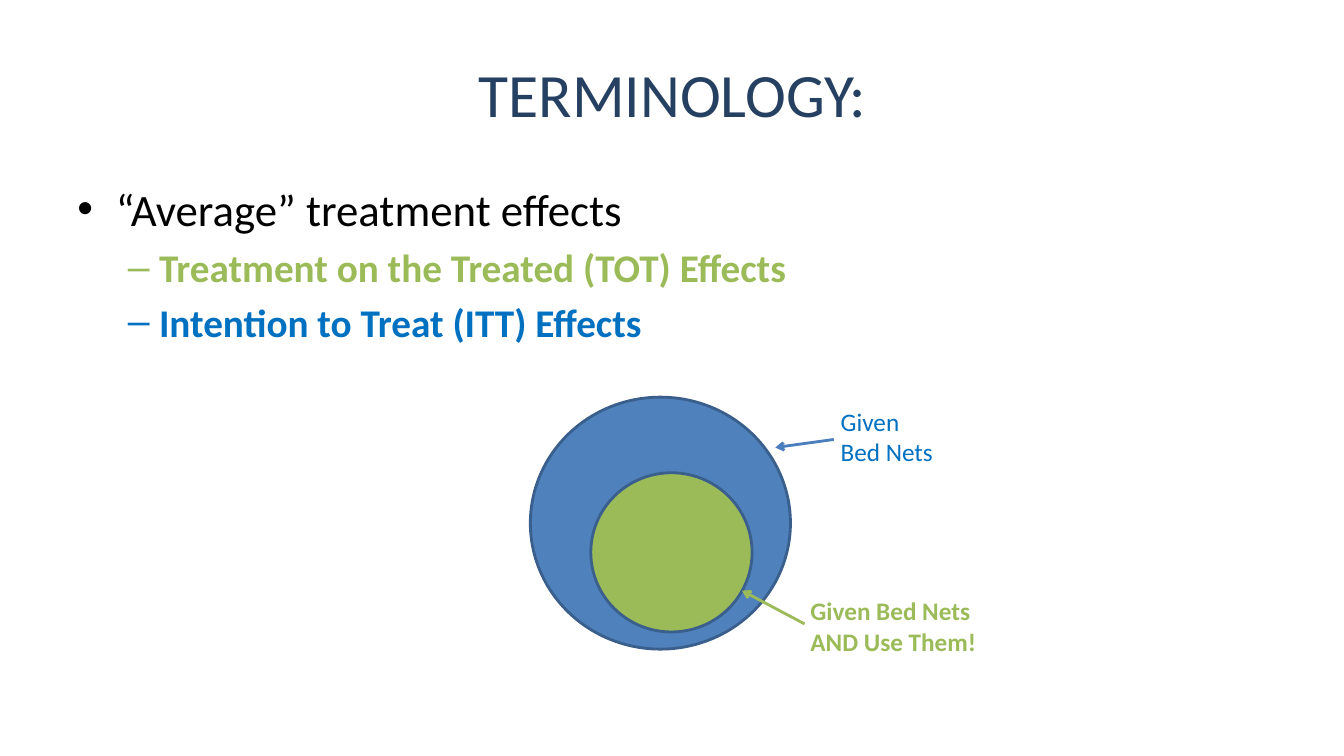
import pptx
import pptx.util
import pptx.dml.color
import pptx.enum.shapes
import pptx.enum.text
import pptx.oxml.ns
import lxml.etree

PX = 9144
FONT = "Calibri"
GREEN = "9BBB59"
BLUE = "0070C0"


def colour(value):
    return pptx.dml.color.RGBColor.from_string(value)


def write(para, words, size, shade, bold=False):
    para.text = words
    for span in para.runs:
        span.font.name = FONT
        span.font.size = pptx.util.Pt(size)
        span.font.bold = bold
        span.font.color.rgb = colour(shade)


deck = pptx.Presentation()
deck.slide_width = 1333 * PX
deck.slide_height = 750 * PX
page = deck.slides.add_slide(deck.slide_layouts[5])

title = page.shapes.title
title.left, title.top, title.width, title.height = [n * PX for n in (67, 30, 1200, 125)]
title.text_frame.vertical_anchor = pptx.enum.text.MSO_ANCHOR.MIDDLE
write(title.text_frame.paragraphs[0], "TERMINOLOGY:", 44, "254061")
title.text_frame.paragraphs[0].alignment = pptx.enum.text.PP_ALIGN.CENTER

body = page.shapes.add_textbox(*[n * PX for n in (67, 175, 1200, 495)])
frame = body.text_frame
frame.word_wrap = True
points = [
    ("“Average” treatment effects", 0, 38, 38, "•", 32, "000000"),
    ("Treatment on the Treated (TOT) Effects", 1, 81, 31, "–", 28, GREEN),
    ("Intention to Treat (ITT) Effects", 1, 81, 31, "–", 28, BLUE),
]
for index, (words, level, margin, hang, mark, size, shade) in enumerate(points):
    para = frame.add_paragraph() if index else frame.paragraphs[0]
    write(para, words, size, shade, level == 1)
    para.level = level
    para.space_before = pptx.util.Pt(size * 0.2 if index else 0)
    properties = para._p.get_or_add_pPr()
    properties.set("marL", str(margin * PX))
    properties.set("indent", str(-hang * PX))
    for tag, key, value in (("a:buFont", "typeface", "Arial"), ("a:buChar", "char", mark)):
        lxml.etree.SubElement(properties, pptx.oxml.ns.qn(tag)).set(key, value)

circles = [((526, 394, 258, 250), "4F81BD"), ((586, 469, 160, 158), GREEN)]
for place, shade in circles:
    circle = page.shapes.add_shape(
        pptx.enum.shapes.MSO_SHAPE.OVAL, *[n * PX for n in place])
    circle.shadow.inherit = False
    circle.fill.solid()
    circle.fill.fore_color.rgb = colour(shade)
    circle.line.color.rgb = colour("3A5F8C")
    circle.line.width = pptx.util.Pt(2)

callouts = [
    ("Given\nBed Nets", (824, 398, 113, 71), BLUE, False, (827, 436, 769, 444), "4B7EBC"),
    ("Given Bed Nets\nAND Use Them!", (794, 586, 186, 71), GREEN, True, (798, 619, 736, 586), GREEN),
]
for words, place, shade, bold, ends, line_shade in callouts:
    arrow = page.shapes.add_connector(
        pptx.enum.shapes.MSO_CONNECTOR.STRAIGHT, *[n * PX for n in ends])
    arrow.line.color.rgb = colour(line_shade)
    arrow.line.width = pptx.util.Pt(2)
    head = lxml.etree.SubElement(arrow.line._get_or_add_ln(), pptx.oxml.ns.qn("a:tailEnd"))
    head.set("type", "arrow")
    lxml.etree.SubElement(arrow._element.spPr, pptx.oxml.ns.qn("a:effectLst"))

    label = page.shapes.add_textbox(*[n * PX for n in place])
    label.text_frame.word_wrap = False
    label.text_frame.auto_size = pptx.enum.text.MSO_AUTO_SIZE.SHAPE_TO_FIT_TEXT
    write(label.text_frame.paragraphs[0], words, 18, shade, bold)

deck.save("out.pptx")
